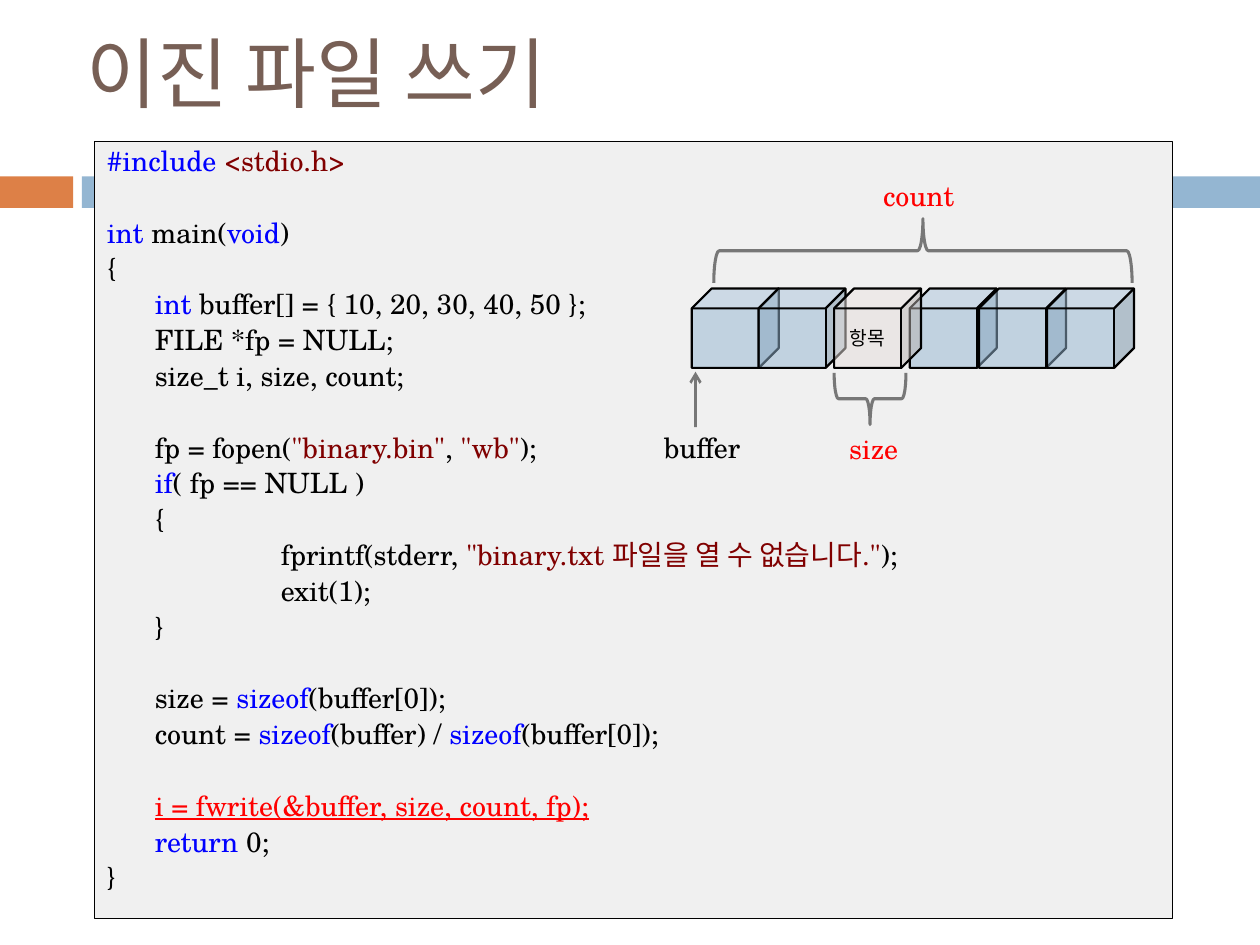
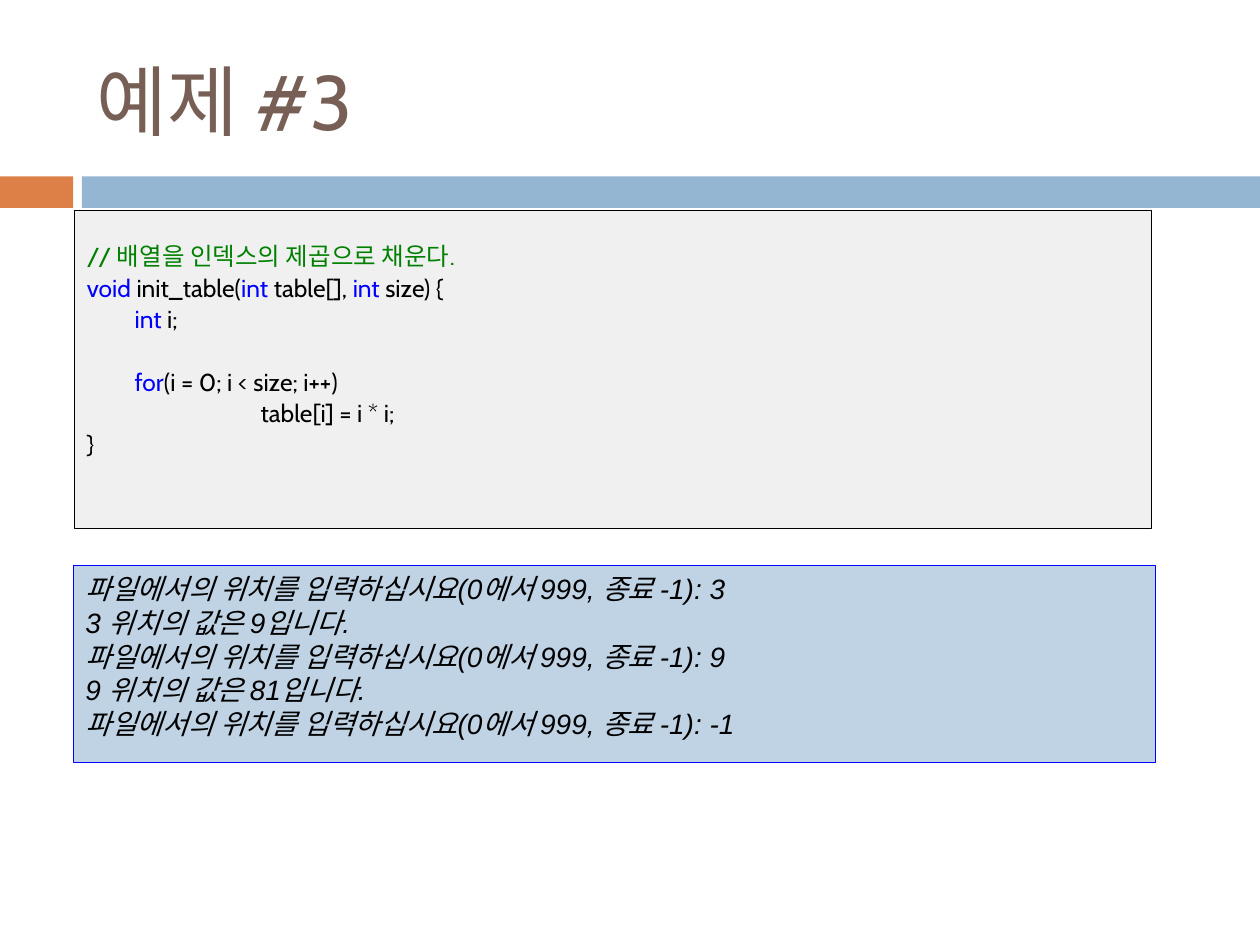
from lxml import etree
from pptx import Presentation
from pptx import util as u
from pptx.dml import color
from pptx.enum import shapes, text
from pptx.oxml import ns

SCALE = 9144
COLOURS = {
    "title": "775F55", "orange": "DD8047", "band": "94B6D2",
    "code": "F0F0F0", "console": "BFD3E4", "item": "E6DEDB",
    "black": "000000", "keyword": "0000FF", "string": "800000",
    "comment": "008000", "red": "FF0000",
}
SERIF, SANS, CONSOLE = "TeX Gyre Schola", "Cabin", "Arial"
CODE_INDENTS = (0, 38, 138)
CODE_LEADING = 0.9
CODE_SPACE = 0.2
LINE_HEIGHT = 1.2

WRITE_CODE = [
    [("#include ", "keyword"), ("<stdio.h>", "string")],
    [],
    [("int", "keyword"), " main(", ("void", "keyword"), ")"],
    ["{"],
    ["\t", ("int", "keyword"), " buffer[] = { 10, 20, 30, 40, 50 };"],
    ["\t", "FILE *fp = NULL;"],
    ["\t", "size_t i, size, count;"],
    [],
    ["\t", "fp = fopen(", ('"binary.bin"', "string"), ", ", ('"wb"', "string"), ");"],
    ["\t", ("if", "keyword"), "( fp == NULL )"],
    ["\t", "{"],
    ["\t\t", "fprintf(stderr, ", ('"binary.txt 파일을 열 수 없습니다."', "string"), ");"],
    ["\t\t", "exit(1);"],
    ["\t", "}"],
    [],
    ["\t", "size = ", ("sizeof", "keyword"), "(buffer[0]);"],
    ["\t", "count = ", ("sizeof", "keyword"), "(buffer) / ",
     ("sizeof", "keyword"), "(buffer[0]);"],
    [],
    ["\t", ("i = fwrite(&buffer, size, count, fp);", "red", True)],
    ["\t", ("return", "keyword"), " 0;"],
    ["}"],
]
TABLE_CODE = [
    [("// 배열을 인덱스의 제곱으로 채운다.", "comment")],
    [("void ", "keyword"), "init_table(", ("int", "keyword"), " table[], ",
     ("int", "keyword"), " size) {"],
    ["\t", ("int ", "keyword"), "i;"],
    [],
    ["\t", ("for", "keyword"), "(i = 0; i < size; i++)"],
    ["\t\t", "table[i] = i * i;"],
    ["}"],
]
PROMPT = "파일에서의 위치를 입력하십시요(0에서 999, 종료 -1): "
CONSOLE_LINES = [PROMPT + "3", "3 위치의 값은 9입니다.", PROMPT + "9",
                 "9 위치의 값은 81입니다.", PROMPT + "-1"]


def px(length):
    """Turn px into EMU."""
    return u.Emu(length * SCALE)


def rgb(name):
    """Look up a named colour."""
    return color.RGBColor.from_string(COLOURS[name])


def set_alpha(fill, percent):
    """Make a solid fill partly transparent."""
    node = fill._xPr.find(ns.qn("a:solidFill"))[0]
    etree.SubElement(node, ns.qn("a:alpha"), val=str(percent * 1000))


def set_line(line, name, width, alpha=100):
    """Give an outline its colour, width and opacity."""
    line.color.rgb = rgb(name)
    line.width = u.Pt(width)
    if alpha < 100:
        set_alpha(line.fill, alpha)


def add_run(paragraph, content, *, size, font, colour="black", italic=False, underline=False):
    """Add one formatted run to a paragraph."""
    run = paragraph.add_run()
    run.text = content
    run.font.size = u.Pt(size)
    run.font.name = font
    run.font.italic = italic
    run.font.underline = underline
    run.font.color.rgb = rgb(colour)


def write_text(shape, content, *, align="LEFT", anchor="TOP", wrap=True, **style):
    """Write each line of the content as a paragraph in one format."""
    frame = shape.text_frame
    frame.word_wrap = wrap
    frame.vertical_anchor = text.MSO_ANCHOR[anchor]
    for number, line in enumerate(content.split("\n")):
        paragraph = frame.add_paragraph() if number else frame.paragraphs[0]
        paragraph.alignment = text.PP_ALIGN[align]
        add_run(paragraph, line, **style)


def write_code(shape, lines, *, size, font, top=5):
    """Write coloured code, with blank lines made by paragraph spacing."""
    frame = shape.text_frame
    frame.word_wrap = True
    frame.vertical_anchor = text.MSO_ANCHOR.TOP
    frame.margin_top = px(top)
    space = size * CODE_SPACE
    pitch = size * LINE_HEIGHT * CODE_LEADING + space
    gap = 0
    for number, line in enumerate(lines):
        if not line:
            gap += pitch
            continue
        paragraph = frame.add_paragraph() if number else frame.paragraphs[0]
        paragraph.alignment = text.PP_ALIGN.LEFT
        paragraph.line_spacing = CODE_LEADING
        paragraph.space_before = u.Pt(round(space + gap, 1))
        gap = 0
        level = line[0].count("\t") if isinstance(line[0], str) else 0
        paragraph._p.get_or_add_pPr().set("marL", str(px(CODE_INDENTS[level])))
        for part in line[1:] if level else line:
            content, colour, underline = (
                (part, "black", False) if isinstance(part, str) else (*part, False)[:3])
            add_run(paragraph, content, size=size, font=font,
                    colour=colour, underline=underline)


def add_shape(slide, kind, box, *, fill=None, alpha=100, line=None, width=0.25, line_alpha=100):
    """Add a preset shape without a shadow."""
    shape = slide.shapes.add_shape(shapes.MSO_SHAPE[kind], *map(px, box))
    shape.shadow.inherit = False
    if fill:
        shape.fill.solid()
        shape.fill.fore_color.rgb = rgb(fill)
        if alpha < 100:
            set_alpha(shape.fill, alpha)
    else:
        shape.fill.background()
    if line:
        set_line(shape.line, line, width, line_alpha)
    else:
        shape.line.fill.background()
    return shape


def add_label(slide, content, box, **style):
    """Add a text box."""
    label = slide.shapes.add_textbox(*map(px, box))
    write_text(label, content, **style)


def add_cube(slide, left, fill="band"):
    """Add one translucent cell of the buffer."""
    return add_shape(slide, "CUBE", (left, 229, 69, 63), fill=fill, alpha=50,
                     line="black", width=1.25)


def add_brace(slide, box, rotation):
    """Add a rotated brace that spans part of the buffer."""
    brace = add_shape(slide, "RIGHT_BRACE", box, line="black", width=1.75, line_alpha=50)
    brace.rotation = rotation


def add_arrow(slide, start, end):
    """Add a straight arrow."""
    arrow = slide.shapes.add_connector(shapes.MSO_CONNECTOR.STRAIGHT, *map(px, start + end))
    set_line(arrow.line, "black", 1.5, 50)
    etree.SubElement(arrow.line._get_or_add_ln(), ns.qn("a:tailEnd"), type="arrow")
    etree.SubElement(arrow._element.spPr, ns.qn("a:effectLst"))


def add_slide(presentation, title, left, top):
    """Add a slide with the shared bands and a title."""
    slide = presentation.slides.add_slide(presentation.slide_layouts[6])
    add_shape(slide, "RECTANGLE", (0, 140, 58, 25), fill="orange")
    add_shape(slide, "RECTANGLE", (65, 140, 935, 25), fill="band")
    add_label(slide, title, (left, top, 892, 108), anchor="MIDDLE",
              size=44, font=SANS, colour="title")
    return slide


def add_code(slide, lines, box, **style):
    """Add a code panel."""
    panel = add_shape(slide, "RECTANGLE", box, fill="code", line="black")
    write_code(panel, lines, **style)


def add_buffer_diagram(slide):
    """Draw the buffer with its item, size and count."""
    label = {"size": 16, "font": SERIF, "wrap": False}
    for left in (549, 602, 722, 777, 831):
        add_cube(slide, left)
    write_text(add_cube(slide, 662, "item"), "항목", align="CENTER", anchor="MIDDLE",
               wrap=False, size=11, font=SERIF)
    add_brace(slide, (670, 288, 41, 57), 90)
    add_label(slide, "size", (664, 338, 62, 37), colour="red", **label)
    add_arrow(slide, (552, 339), (552, 295))
    add_label(slide, "buffer", (517, 337, 83, 37), **label)
    add_brace(slide, (707, 33, 51, 332), 270)
    add_label(slide, "count", (691, 137, 79, 37), colour="red", **label)


def main():
    """Build the two slides and save them."""
    presentation = Presentation()
    presentation.slide_width, presentation.slide_height = px(1000), px(750)

    writing = add_slide(presentation, "이진 파일 쓰기", 59, 3)
    add_code(writing, WRITE_CODE, (75, 112, 855, 617), size=16, font=SERIF)
    add_buffer_diagram(writing)

    example = add_slide(presentation, "예제 #3", 67, 25)
    add_code(example, TABLE_CODE, (59, 167, 855, 252), size=14, font=SANS, top=27)
    console = add_shape(example, "RECTANGLE", (58, 449, 859, 156), fill="console",
                        line="keyword", width=0.33)
    write_text(console, "\n".join(CONSOLE_LINES), align="JUSTIFY", size=16,
               font=CONSOLE, italic=True)

    presentation.save("out.pptx")


if __name__ == "__main__":
    main()
